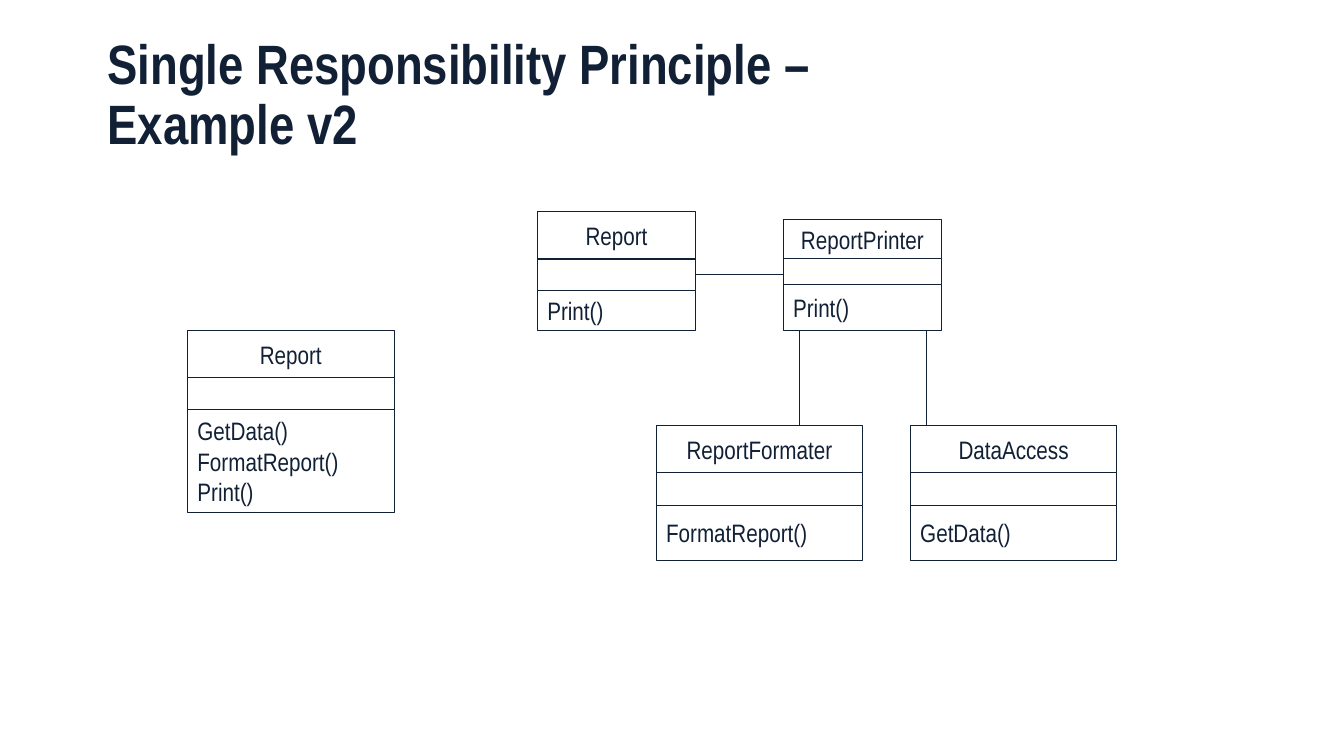
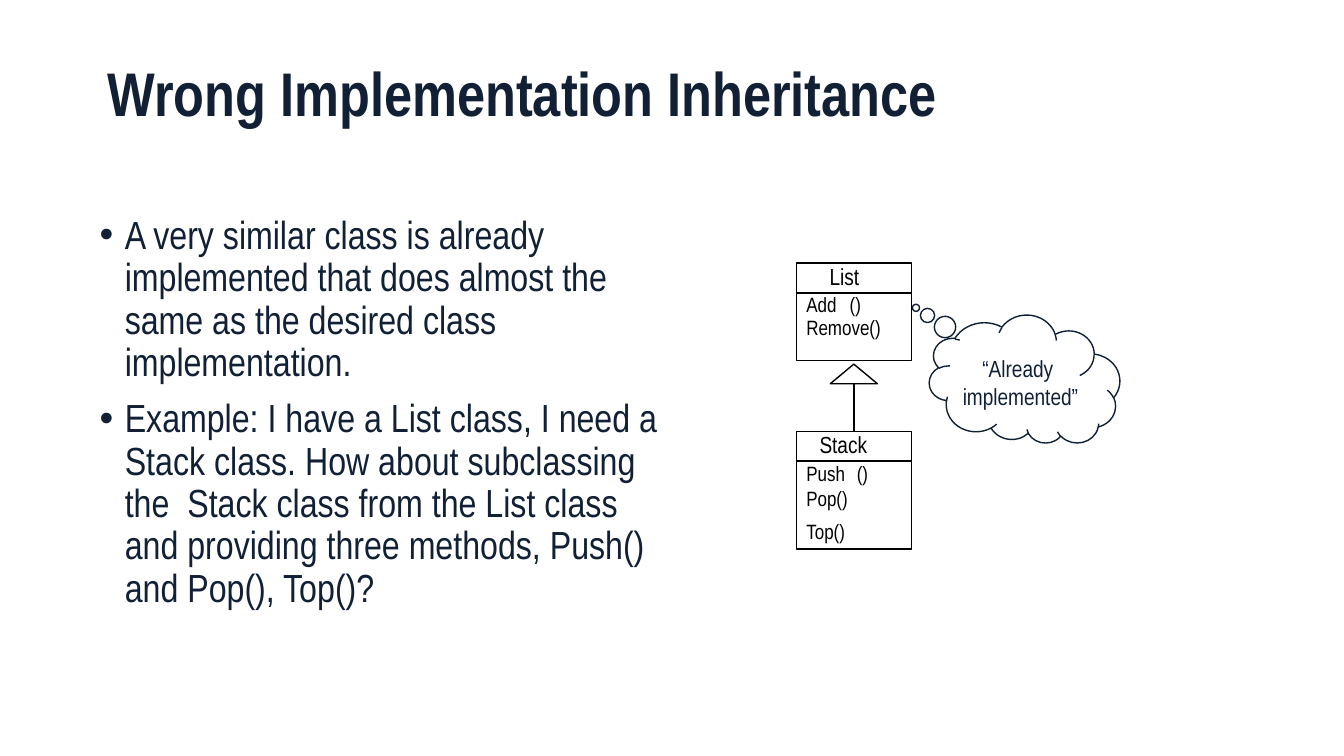
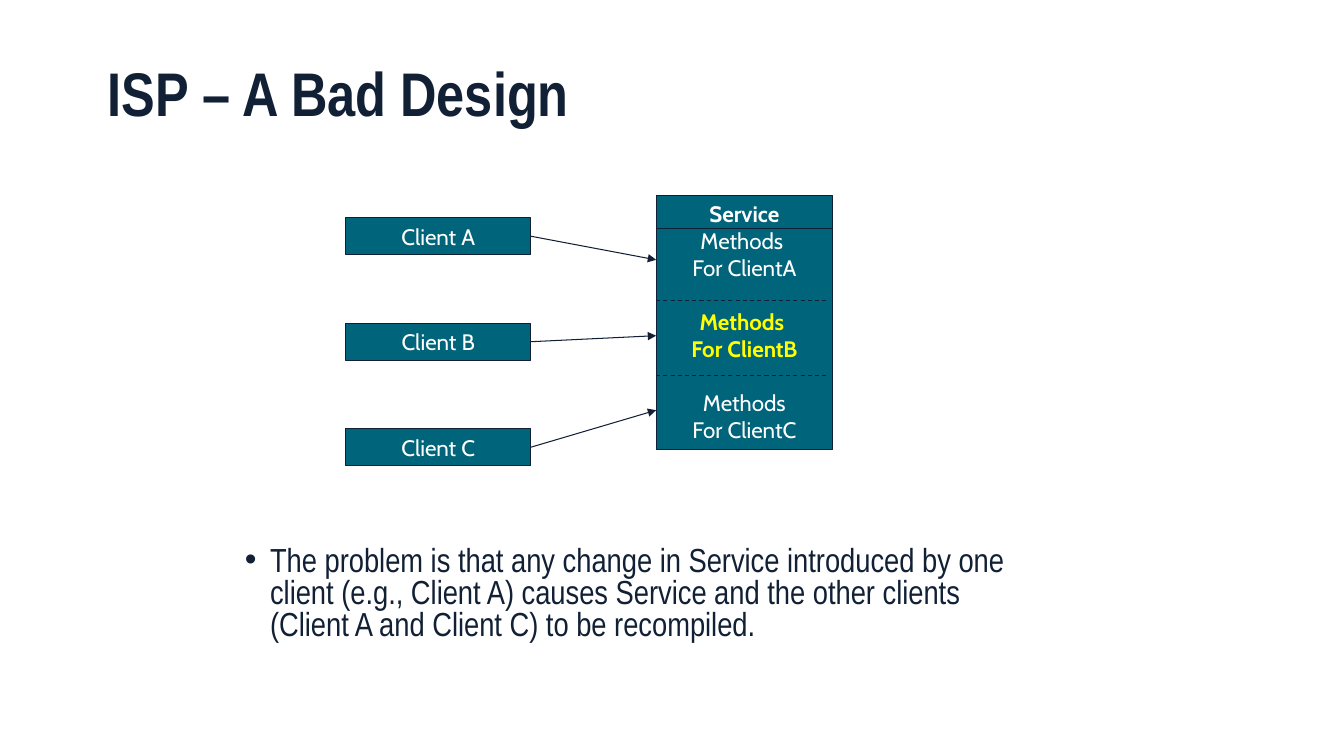
from dataclasses import dataclass, replace
from typing import Optional, Sequence

from lxml import etree
from pptx import Presentation
from pptx.dml.color import RGBColor
from pptx.enum.dml import MSO_LINE
from pptx.enum.shapes import MSO_CONNECTOR, MSO_SHAPE
from pptx.enum.text import MSO_ANCHOR, MSO_AUTO_SIZE, PP_ALIGN
from pptx.oxml.ns import qn
from pptx.util import Pt

RECTANGLE = MSO_SHAPE.RECTANGLE
TRIANGLE = MSO_SHAPE.ISOSCELES_TRIANGLE
CLOUD = MSO_SHAPE.CLOUD_CALLOUT
STRAIGHT = MSO_CONNECTOR.STRAIGHT
DASH = MSO_LINE.DASH
TOP, MIDDLE = MSO_ANCHOR.TOP, MSO_ANCHOR.MIDDLE
LEFT, CENTER = PP_ALIGN.LEFT, PP_ALIGN.CENTER
TOP_SIDE, RIGHT_SIDE = 0, 3

NAVY, TEAL, WHITE, BLACK, YELLOW = "112035", "00647A", "FFFFFF", "000000", "FFFF00"


@dataclass(frozen=True)
class Frame:
    left: float
    top: float
    width: float
    height: float


@dataclass(frozen=True)
class TextStyle:
    size: float
    colour: str = NAVY
    bold: bool = False
    font: str = "Arial Narrow"


@dataclass(frozen=True)
class TextLine:
    text: str
    style: TextStyle
    align: PP_ALIGN = LEFT
    space_before: float = 0


@dataclass(frozen=True)
class ClassBox:
    name: str
    methods: Sequence[str]
    left: float
    top: float
    width: float
    heights: tuple[float, float, float]  # name, attributes, methods


@dataclass(frozen=True)
class Label:
    text: str
    frame: Frame
    style: TextStyle


TITLE_FRAME = Frame(69.8, 28.8, 820.8, 80.6)
CLASS_TEXT = TextStyle(18)
METHOD_TEXT = TextStyle(14.8, BLACK)
NAME_TEXT = TextStyle(16.6, BLACK)
SERVICE_TEXT = TextStyle(16, WHITE, font="Cabin")


# Shared helpers
def rgb(colour: str) -> RGBColor:
    return RGBColor.from_string(colour)


def add_span(para, text: str, style: TextStyle) -> None:
    span = para.add_run()
    span.text = text
    span.font.name = style.font
    span.font.size = Pt(style.size)
    span.font.bold = style.bold
    span.font.color.rgb = rgb(style.colour)


def write_lines(text_frame, lines: Sequence[TextLine]) -> None:
    for index, line in enumerate(lines):
        para = text_frame.add_paragraph() if index else text_frame.paragraphs[0]
        para.alignment = line.align
        if line.space_before:
            para.space_before = Pt(line.space_before)
        add_span(para, line.text, line.style)


def add_box(page, frame: Frame, fill: Optional[str] = WHITE, line: str = NAVY,
            weight: float = 0.75, lines: Sequence[TextLine] = (),
            anchor: MSO_ANCHOR = MIDDLE, preset: MSO_SHAPE = RECTANGLE):
    box = page.shapes.add_shape(preset, Pt(frame.left), Pt(frame.top),
                                Pt(frame.width), Pt(frame.height))
    box.shadow.inherit = False
    if fill:
        box.fill.solid()
        box.fill.fore_color.rgb = rgb(fill)
    else:
        box.fill.background()
    box.line.color.rgb = rgb(line)
    box.line.width = Pt(weight)
    box.text_frame.word_wrap = True
    box.text_frame.vertical_anchor = anchor
    write_lines(box.text_frame, lines)
    return box


def add_text_box(page, frame: Frame, wrap: bool = True, anchor: MSO_ANCHOR = TOP):
    box = page.shapes.add_textbox(Pt(frame.left), Pt(frame.top),
                                  Pt(frame.width), Pt(frame.height))
    box.text_frame.word_wrap = wrap
    box.text_frame.vertical_anchor = anchor
    return box.text_frame


def add_line(page, start: tuple[float, float], end: tuple[float, float],
             colour: str = NAVY, weight: float = 0.75,
             dashed: bool = False, arrow: bool = False):
    line = page.shapes.add_connector(STRAIGHT, Pt(start[0]), Pt(start[1]),
                                     Pt(end[0]), Pt(end[1]))
    line.line.color.rgb = rgb(colour)
    line.line.width = Pt(weight)
    properties = line._element.spPr
    if dashed:
        line.line.dash_style = DASH
    if arrow:
        etree.SubElement(properties.find(qn("a:ln")), qn("a:tailEnd"), type="triangle")
    etree.SubElement(properties, qn("a:effectLst"))
    return line


def add_bullets(page, frame: Frame, texts: Sequence[str], size: float, spacing: float) -> None:
    text_frame = add_text_box(page, frame)
    for index, text in enumerate(texts):
        para = text_frame.add_paragraph() if index else text_frame.paragraphs[0]
        properties = para._p.get_or_add_pPr()
        properties.set("marL", str(Pt(18)))
        properties.set("indent", str(-Pt(18)))
        etree.SubElement(properties, qn("a:buFont"), typeface="Arial")
        etree.SubElement(properties, qn("a:buChar"), char="•")
        para.line_spacing = spacing
        if index:
            para.space_before = Pt(10)
        add_span(para, text, TextStyle(size))


def add_page(deck, title: Sequence[str], size: float = 44):
    page = deck.slides.add_slide(deck.slide_layouts[6])
    para = add_text_box(page, TITLE_FRAME, anchor=MIDDLE).paragraphs[0]
    para.line_spacing = 0.9
    for index, text in enumerate(title):
        if index:
            para.add_line_break()
        add_span(para, text, TextStyle(size, bold=True))
    return page


# Single responsibility page
def add_class_box(page, item: ClassBox):
    """Draw the three compartments and return the attribute one."""
    compartments = (
        [TextLine(item.name, CLASS_TEXT, CENTER)],
        [],
        [TextLine(method, CLASS_TEXT) for method in item.methods],
    )
    top, boxes = item.top, []
    for height, lines in zip(item.heights, compartments):
        boxes.append(add_box(page, Frame(item.left, top, item.width, height), lines=lines))
        top += height
    return boxes[1]


def build_responsibility_page(deck) -> None:
    page = add_page(deck, ["Single Responsibility Principle – ", "Example v2"], 39.6)
    wide, narrow = 147.6, 113.2
    report = ClassBox("Report", ["Print()"], 383.8, 151.2, narrow, (33.8, 22.6, 28.2))
    printer = ClassBox("ReportPrinter", ["Print()"], 559.4, 157, narrow, (27.6, 18.6, 32.6))
    helpers = [
        ClassBox(name, [method], left, 303.8, wide, (34, 23, 39.4))
        for name, method, left in (("ReportFormater", "FormatReport()", 468.7),
                                   ("DataAccess", "GetData()", 650.2))
    ]
    add_class_box(page, ClassBox("Report", ["GetData()", "FormatReport()", "Print()"],
                                 133.9, 236.2, wide, (33.8, 22.5, 73.6)))
    report_attributes = add_class_box(page, report)
    for item in (printer, *helpers):
        add_class_box(page, item)

    # Associations
    middle = report.top + report.heights[0] + report.heights[1] / 2
    link = add_line(page, (report.left + narrow, middle), (printer.left, middle))
    link.begin_connect(report_attributes, RIGHT_SIDE)
    printer_bottom = printer.top + sum(printer.heights)
    for x in (571, 661.7):
        add_line(page, (x, printer_bottom), (x, helpers[0].top))


# Inheritance page
def build_inheritance_page(deck) -> None:
    page = add_page(deck, ["Wrong Implementation Inheritance"])
    add_bullets(page, Frame(64.1, 150.5, 427.7, 325.4), [
        "A very similar class is already implemented that does almost the same as "
        "the desired class implementation.",
        "Example: I have a List class, I need a Stack class. How about subclassing "
        "the  Stack class from the List class and providing three methods, Push() "
        "and Pop(), Top()?",
    ], 28, 0.9)

    # List and Stack outlines
    left, width = 568.8, 82.2
    center = left + width / 2
    for top, height, divider in ((187.9, 69.8, 209.3), (308.1, 84, 329.2)):
        outline = add_box(page, Frame(left, top, width, height), None, BLACK, 1)
        add_line(page, (left, divider), (left + width, divider), BLACK, 1)

    # Inheritance arrow
    add_box(page, Frame(center - 16.8, 260.1, 33.6, 14), None, BLACK, 1, preset=TRIANGLE)
    stem = add_line(page, (center, 274.1), (center, 308.1), BLACK, 1)
    stem.end_connect(outline, TOP_SIDE)

    labels = (
        Label("List", Frame(586.1, 184.3, 40.3, 26.6), NAME_TEXT),
        Label("Add", Frame(569.5, 205.2, 38.9, 24.5), METHOD_TEXT),
        Label("()", Frame(600.5, 205.2, 24.5, 24.5), METHOD_TEXT),
        Label("Remove()", Frame(569.5, 222, 76.3, 24.5), METHOD_TEXT),
        Label("Stack", Frame(578.9, 303.8, 54, 26.6), NAME_TEXT),
        Label("Push", Frame(569.5, 326.2, 43.9, 24.5), METHOD_TEXT),
        Label("()", Frame(605.5, 326.2, 24.5, 24.5), METHOD_TEXT),
        Label("Pop()", Frame(569.5, 344, 48.2, 24.5), METHOD_TEXT),
        Label("Top()", Frame(569.5, 367.2, 47.5, 24.5), METHOD_TEXT),
    )
    for label in labels:
        text_frame = add_text_box(page, label.frame, wrap=False)
        text_frame.auto_size = MSO_AUTO_SIZE.SHAPE_TO_FIT_TEXT
        text_frame.margin_left = text_frame.margin_right = Pt(6.5)
        text_frame.margin_top = text_frame.margin_bottom = Pt(3.2)
        write_lines(text_frame, [TextLine(label.text, label.style)])

    # Thought cloud, mirrored with its text kept upright
    thought = TextStyle(16.6)
    cloud = add_box(page, Frame(663.8, 225.4, 136.1, 91.4), weight=1, preset=CLOUD, lines=[
        TextLine("“Already", thought, CENTER),
        TextLine(" implemented”", thought, CENTER),
    ])
    cloud.adjustments[0], cloud.adjustments[1] = -0.57, 0.56
    cloud.text_frame.word_wrap = False
    cloud._element.spPr.find(qn("a:xfrm")).set("flipV", "1")
    cloud._element.txBody.find(qn("a:bodyPr")).set("rot", str(180 * 60000))


# Interface segregation page
def build_segregation_page(deck) -> None:
    page = add_page(deck, ["ISP – A Bad Design"])
    add_bullets(page, Frame(167.8, 387.4, 568.1, 88.6), [
        "The problem is that any change in Service introduced by one client (e.g., "
        "Client A) causes Service and the other clients (Client A and Client C) to "
        "be recompiled.",
    ], 23.8, 0.8)

    # Service with one group of methods per client
    service = Frame(468.7, 139.7, 126, 181.4)
    bold = replace(SERVICE_TEXT, bold=True)
    highlight = replace(bold, colour=YELLOW)
    lines = [TextLine("Service", bold, CENTER)]
    for heading, client, style, gap in (("Methods ", "A", SERVICE_TEXT, 0),
                                        ("Methods ", "B", highlight, 19.4),
                                        ("Methods", "C", SERVICE_TEXT, 19.4)):
        lines.append(TextLine(heading, style, CENTER, gap))
        lines.append(TextLine(f"For Client{client}", style, CENTER))
    add_box(page, service, TEAL, lines=lines, anchor=TOP)
    for y, length, dashed in ((163.4, service.width, False),
                              (214.5, 122.5, True), (268.5, 122.5, True)):
        add_line(page, (service.left, y), (service.left + length, y), dashed=dashed)

    # Clients and their arrows
    for index, (client, target) in enumerate((("A", 185.6), ("B", 239.8), ("C", 293))):
        frame = Frame(247, 155.4 + 75.4 * index, 132, 26.6)
        box = add_box(page, frame, TEAL,
                      lines=[TextLine(f"Client {client}", SERVICE_TEXT, CENTER)])
        start = (frame.left + frame.width, frame.top + frame.height / 2)
        arrow = add_line(page, start, (service.left, target), arrow=True)
        arrow.begin_connect(box, RIGHT_SIDE)


def main() -> None:
    deck = Presentation()
    deck.slide_width, deck.slide_height = Pt(960), Pt(540)
    build_responsibility_page(deck)
    build_inheritance_page(deck)
    build_segregation_page(deck)
    deck.save("out.pptx")


if __name__ == "__main__":
    main()
